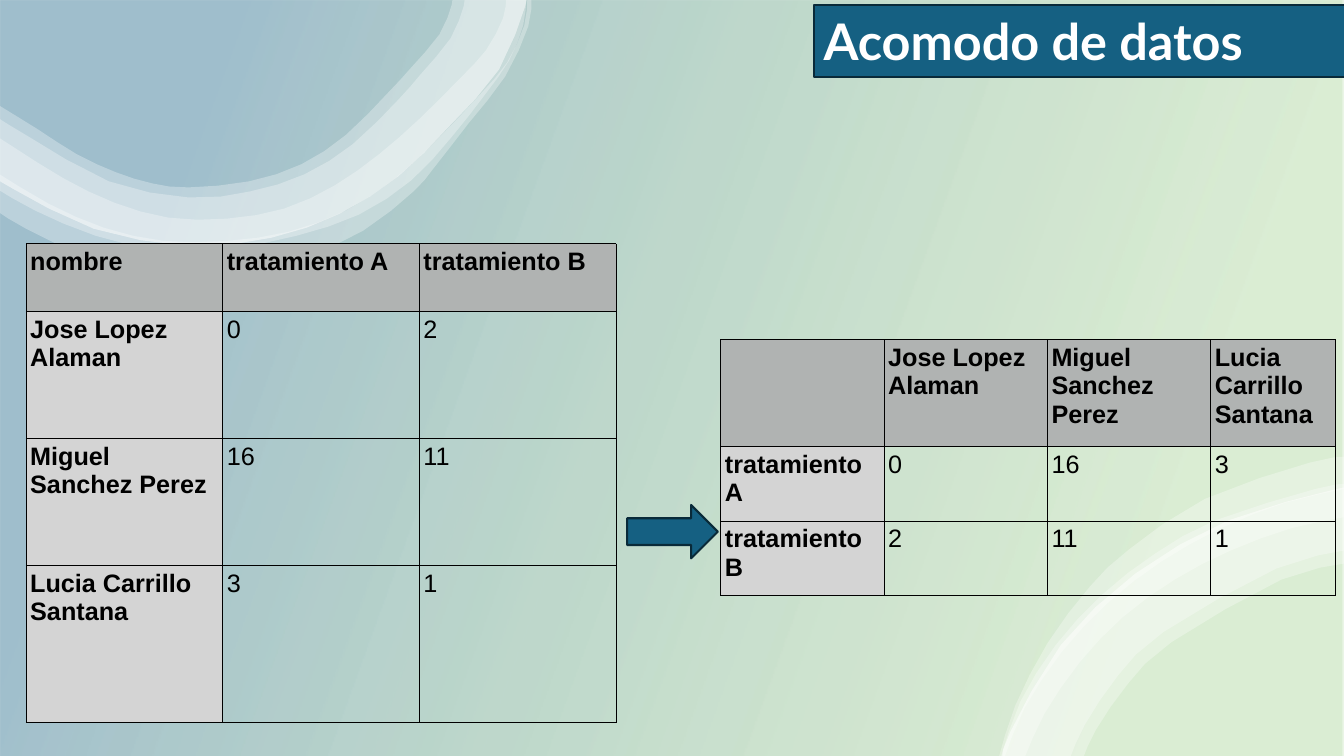
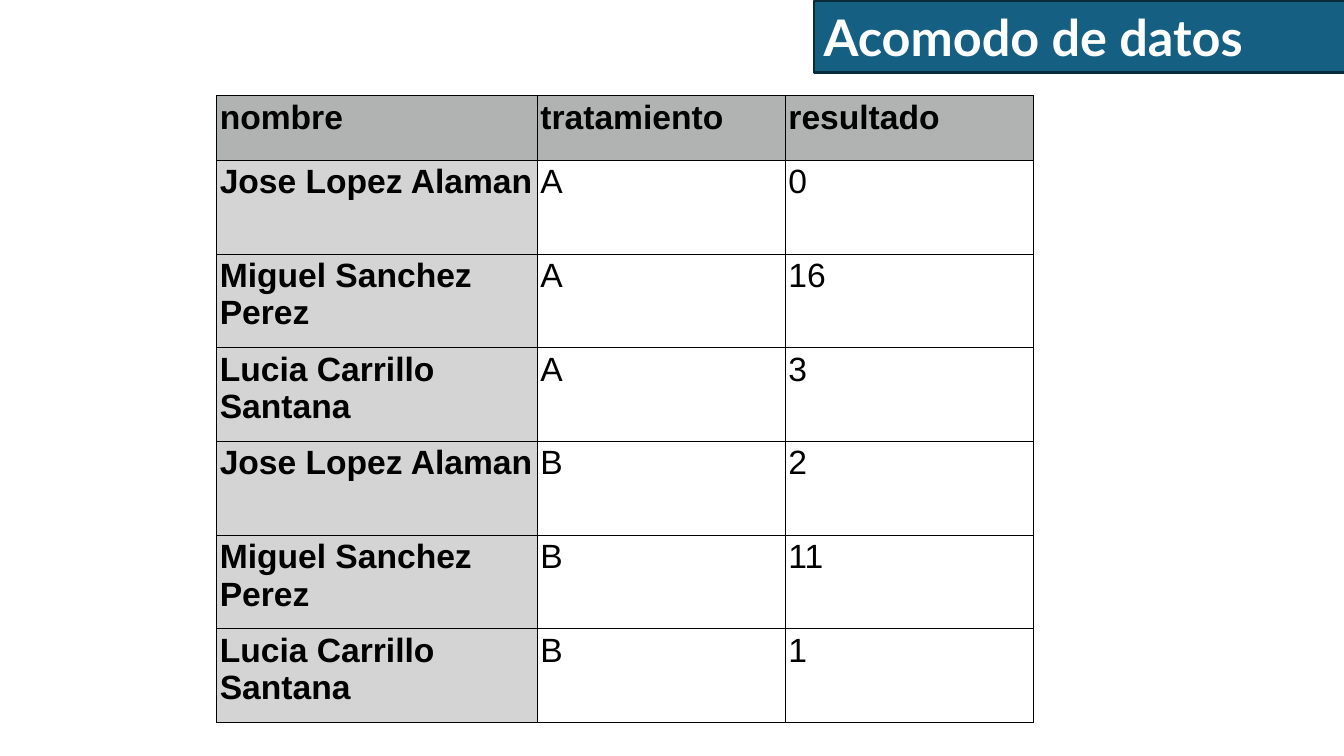
from dataclasses import dataclass

from lxml import etree
from pptx import Presentation
from pptx.dml.color import RGBColor
from pptx.enum import shapes, text
from pptx.oxml import ns
from pptx.util import Inches, Pt

TEAL = RGBColor(0x15, 0x60, 0x82)
NAVY = RGBColor(0x09, 0x2A, 0x39)
GREEN = RGBColor(0x4E, 0xA7, 0x2E)
WHITE = RGBColor(0xFF, 0xFF, 0xFF)
BLACK = RGBColor(0x00, 0x00, 0x00)
GRAY = RGBColor(0xB0, 0xB3, 0xB2)
PALE = RGBColor(0xD4, 0xD4, 0xD4)

WIDE, HIGH = 13.33, 7.5
STEPS = 2
JOSE = "Jose Lopez Alaman"
MIGUEL = "Miguel Sanchez Perez"
LUCIA = "Lucia Carrillo Santana"

Knots = list[tuple[float, float]]


@dataclass
class Ribbon:
    outer: Knots
    inner: Knots


@dataclass
class Grid:
    left: float
    top: float
    cols: list[float]
    rows: list[float]
    size: int
    inset: float
    cells: list[list[str]]


CREST: Knots = [
    (5.21, -0.01), (5.21, 0.06), (4.95, 0.69), (4.45, 1.26), (3.95, 1.75),
    (3.37, 2.12), (2.69, 2.36), (1.87, 2.44), (0.93, 2.27), (0.14, 1.88),
    (-0.02, 1.78),
]
ARC: Knots = [
    (9.94, 7.5), (10.02, 7.26), (10.52, 6.4), (11.26, 5.69), (12.19, 5.16),
    (13.22, 4.86), (13.34, 4.84),
]

TOP = [
    Ribbon(
        [(5.27, -0.01), (5.24, 0.26), (5.01, 0.76), (4.65, 1.22), (4.3, 1.67),
         (4.1, 1.9), (3.6, 2.29), (2.98, 2.56), (2.29, 2.69), (1.58, 2.7),
         (0.88, 2.55), (0.26, 2.27), (-0.02, 2.1)],
        [(5.23, -0.01), (5.2, 0.25), (5.03, 0.62), (4.75, 0.95), (4.35, 1.37),
         (3.92, 1.77), (3.43, 2.09), (2.86, 2.3), (2.25, 2.39), (1.62, 2.39),
         (1.03, 2.26), (0.48, 2.02), (-0.02, 1.72)]),
    Ribbon(
        [(5.22, -0.01), (5.19, 0.25), (5.05, 0.6), (4.81, 0.94), (4.48, 1.36),
         (4.08, 1.79), (3.56, 2.13), (2.94, 2.34), (2.29, 2.46), (1.61, 2.48),
         (0.95, 2.34), (0.35, 2.09), (-0.02, 1.88)],
        [(5.02, -0.01), (4.99, 0.18), (4.82, 0.5), (4.55, 0.79), (4.16, 1.18),
         (3.76, 1.53), (3.32, 1.84), (2.82, 2.07), (2.25, 2.17), (1.67, 2.16),
         (1.13, 2.01), (0.63, 1.77), (0.15, 1.47), (-0.02, 1.36)]),
    Ribbon(
        CREST,
        [(4.6, -0.01), (4.6, 0.06), (4.47, 0.38), (4.17, 0.74), (3.95, 0.99),
         (3.5, 1.43), (3.02, 1.73), (2.48, 1.9), (1.87, 1.96), (1.08, 1.8),
         (0.29, 1.36), (-0.02, 1.17)]),
    Ribbon(
        CREST,
        [(4.48, -0.01), (4.48, 0.05), (4.36, 0.34), (4.07, 0.68), (3.84, 0.93),
         (3.43, 1.34), (2.99, 1.63), (2.47, 1.8), (1.87, 1.86), (1.51, 1.82),
         (1.15, 1.71), (0.76, 1.53), (0.37, 1.28), (-0.02, 1.04)]),
]
LOW = [
    Ribbon(
        [(9.91, 7.5), (10.07, 7), (10.39, 6.38), (10.81, 5.82), (11.2, 5.45),
         (11.95, 4.95), (12.99, 4.59), (13.34, 4.53)],
        [(9.97, 7.5), (10.16, 7.03), (10.53, 6.47), (10.99, 5.98),
         (11.52, 5.57), (12.11, 5.24), (12.74, 4.99), (13.34, 4.85)]),
    Ribbon(
        ARC,
        [(10.75, 7.5), (10.87, 7.24), (11.19, 6.78), (11.62, 6.37),
         (12.71, 5.75), (13.34, 5.59)]),
    Ribbon(
        [(9.93, 7.5), (10.12, 6.96), (10.47, 6.4), (10.93, 5.9),
         (11.46, 5.49), (12.06, 5.16), (13.05, 4.85), (13.34, 4.8)],
        [(10.17, 7.5), (10.36, 7.08), (10.71, 6.57), (11.14, 6.12),
         (11.65, 5.75), (12.21, 5.46), (12.81, 5.24), (13.34, 5.13)]),
    Ribbon(
        ARC,
        [(10.62, 7.5), (10.76, 7.19), (11.09, 6.7), (11.54, 6.27),
         (12.66, 5.64), (13.34, 5.46)]),
]

BEFORE = Grid(0.26, 2.42, [1.95] * 3, [0.67, 1.26, 1.26, 1.56], 18, 0.04, [
    ["nombre", "tratamiento A", "tratamiento B"],
    [JOSE, "0", "2"],
    [MIGUEL, "16", "11"],
    [LUCIA, "3", "1"],
])
AFTER = Grid(7.15, 3.37, [1.62] * 3 + [1.24], [1.06, 0.74, 0.74], 18, 0.04, [
    ["", JOSE, MIGUEL, LUCIA],
    ["tratamiento A", "0", "16", "3"],
    ["tratamiento B", "2", "11", "1"],
])
TIDY = Grid(2.15, 0.95, [3.18, 2.46, 2.46], [0.64] + [0.93] * 6, 24, 0.03, [
    ["nombre", "tratamiento", "resultado"],
    [JOSE, "A", "0"],
    [MIGUEL, "A", "16"],
    [LUCIA, "A", "3"],
    [JOSE, "B", "2"],
    [MIGUEL, "B", "11"],
    [LUCIA, "B", "1"],
])


def curve(knots: Knots) -> Knots:
    ends = [knots[0], *knots, knots[-1]]
    points = [knots[0]]
    for a, b, c, d in zip(ends, ends[1:], ends[2:], ends[3:]):
        for step in range(1, STEPS + 1):
            t = step / STEPS
            x, y = (
                (2 * q + (r - p) * t + (2 * p - 5 * q + 4 * r - s) * t ** 2
                 + (3 * q - p - 3 * r + s) * t ** 3) / 2
                for p, q, r, s in zip(a, b, c, d))
            points.append((x, y))
    return points


def fade(fill, share: int) -> None:
    for color in fill.iter(ns.qn("a:srgbClr")):
        etree.SubElement(color, ns.qn("a:alpha"), val=str(share * 1000))


def add_wash(slide) -> None:
    wash = slide.shapes.add_shape(
        shapes.MSO_SHAPE.RECTANGLE, 0, 0, Inches(WIDE), Inches(HIGH))
    wash.shadow.inherit = False
    wash.line.fill.background()
    wash.fill.gradient()
    wash.fill.gradient_angle = 160
    stops = wash.fill.gradient_stops
    nodes = wash._element.spPr.iter(ns.qn("a:gs"))
    looks = [(0.16, GREEN, 20), (0.85, TEAL, 40)]
    for stop, node, (place, color, share) in zip(stops, nodes, looks):
        stop.position = place
        stop.color.rgb = color
        fade(node, share)


def add_swirl(slide, ribbons: list[Ribbon]) -> None:
    group = slide.shapes.add_group_shape()
    for ribbon in ribbons:
        edge = curve(ribbon.outer) + curve(ribbon.inner)[::-1]
        points = [(Inches(x), Inches(y)) for x, y in edge]
        pen = group.shapes.build_freeform(*points[0])
        pen.add_line_segments(points[1:], close=True)
        band = pen.convert_to_shape()
        band.shadow.inherit = False
        band.line.fill.background()
        band.fill.solid()
        band.fill.fore_color.rgb = WHITE
        fade(band._element.spPr, 30)


def add_block(slide, kind, left: float, top: float, width: float, height: float):
    block = slide.shapes.add_shape(
        kind, Inches(left), Inches(top), Inches(width), Inches(height))
    block.shadow.inherit = False
    block.fill.solid()
    block.fill.fore_color.rgb = TEAL
    block.line.color.rgb = NAVY
    block.line.width = Pt(1.5)
    return block


def add_run(para, words: str, face: str, size: int, color: RGBColor, bold: bool) -> None:
    run = para.add_run()
    run.text = words
    run.font.name = face
    run.font.size = Pt(size)
    run.font.color.rgb = color
    run.font.bold = bold


def add_title(slide, top: float) -> None:
    block = add_block(slide, shapes.MSO_SHAPE.RECTANGLE, 8.07, top, 5.29, 0.71)
    frame = block.text_frame
    frame.word_wrap = True
    frame.auto_size = text.MSO_AUTO_SIZE.SHAPE_TO_FIT_TEXT
    para = frame.paragraphs[0]
    para.alignment = text.PP_ALIGN.LEFT
    add_run(para, "Acomodo de datos", "Lato", 36, WHITE, True)


def add_border(cell) -> None:
    props = cell._tc.get_or_add_tcPr()
    for side in ("lnL", "lnR", "lnT", "lnB"):
        line = etree.SubElement(props, ns.qn(f"a:{side}"), w=str(Pt(0.75)))
        fill = etree.SubElement(line, ns.qn("a:solidFill"))
        etree.SubElement(fill, ns.qn("a:srgbClr"), val=str(BLACK))


def add_grid(slide, grid: Grid) -> None:
    table = slide.shapes.add_table(
        len(grid.rows), len(grid.cols), Inches(grid.left), Inches(grid.top),
        Inches(sum(grid.cols)), Inches(sum(grid.rows))).table
    table.first_row = table.horz_banding = False
    for col, width in zip(table.columns, grid.cols):
        col.width = Inches(width)
    for row, height in zip(table.rows, grid.rows):
        row.height = Inches(height)
    for i, words in enumerate(grid.cells):
        for j, word in enumerate(words):
            cell = table.cell(i, j)
            add_border(cell)
            head = i == 0 or j == 0
            if head:
                cell.fill.solid()
                cell.fill.fore_color.rgb = GRAY if i == 0 else PALE
            else:
                cell.fill.background()
            cell.margin_left = cell.margin_right = Inches(grid.inset)
            cell.margin_top = cell.margin_bottom = Inches(grid.inset)
            if word:
                para = cell.text_frame.paragraphs[0]
                add_run(para, word, "Arial", grid.size, BLACK, head)


def main() -> None:
    deck = Presentation()
    deck.slide_width, deck.slide_height = Inches(WIDE), Inches(HIGH)
    blank = deck.slide_layouts[6]

    pivot = deck.slides.add_slide(blank)
    add_wash(pivot)
    add_swirl(pivot, TOP)
    add_swirl(pivot, LOW)
    add_grid(pivot, BEFORE)
    add_block(pivot, shapes.MSO_SHAPE.RIGHT_ARROW, 6.22, 5.01, 0.9, 0.53)
    add_grid(pivot, AFTER)
    add_title(pivot, 0.05)

    tidy = deck.slides.add_slide(blank)
    add_grid(tidy, TIDY)
    add_title(tidy, 0.01)

    deck.save("out.pptx")


if __name__ == "__main__":
    main()
